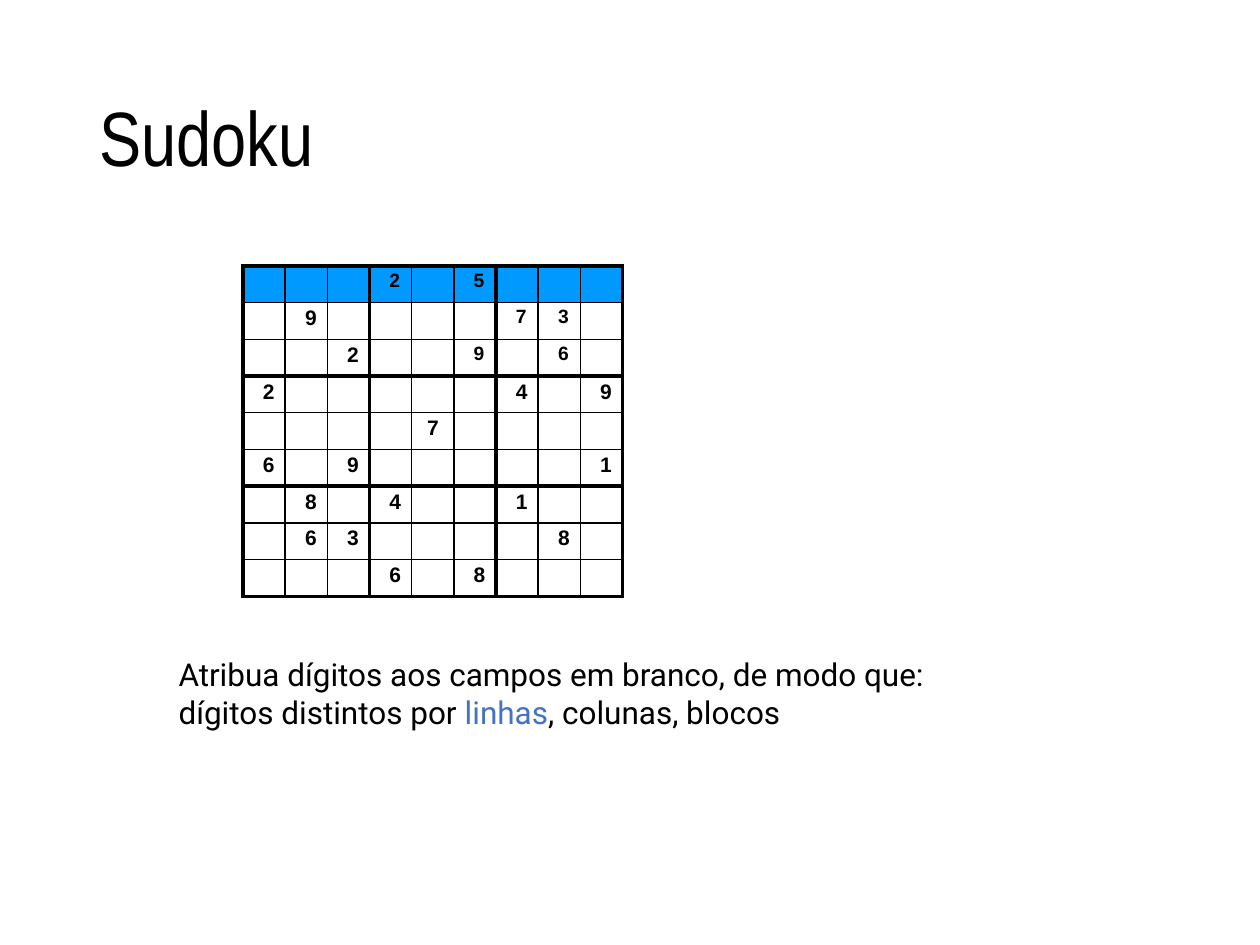
import pptx
import pptx.util
import pptx.dml.color
import pptx.enum.text
import pptx.oxml
import pptx.oxml.ns
from dataclasses import dataclass

Cm = pptx.util.Cm
Pt = pptx.util.Pt


@dataclass(frozen=True)
class Theme:
    ink: str = "000000"
    row: str = "0099FF"
    accent: str = "4472C4"
    title: int = 44
    body: int = 18
    digit: int = 12
    small_digit: int = 11
    thin: float = 1
    thick: float = 2.25


theme = Theme()


def style(r, name, size, color, bold=False):
    r.font.name = name
    r.font.size = Pt(size)
    r.font.bold = bold
    r.font.color.rgb = pptx.dml.color.RGBColor.from_string(color)


def set_borders(cell, row, col):
    sides = {"L": col % 3 == 0, "R": col % 3 == 2, "T": row % 3 == 0, "B": row % 3 == 2}
    tcPr = cell._tc.get_or_add_tcPr()
    for i, (side, heavy) in enumerate(sides.items()):
        width = Pt(theme.thick if heavy else theme.thin)
        tcPr.insert(i, pptx.oxml.parse_xml(
            f'<a:ln{side} {pptx.oxml.ns.nsdecls("a")} w="{width}"><a:solidFill>'
            f'<a:srgbClr val="{theme.ink}"/></a:solidFill><a:prstDash val="solid"/></a:ln{side}>'))


prs = pptx.Presentation()
prs.slide_width, prs.slide_height = Cm(25.4), Cm(19.05)
s = prs.slides.add_slide(prs.slide_layouts[5])

title = s.shapes.title
title.left, title.top, title.width, title.height = Cm(1.75), Cm(1.02), Cm(21.9), Cm(3.68)
tf = title.text_frame
tf.text = "Sudoku"
tf.vertical_anchor = pptx.enum.text.MSO_ANCHOR.MIDDLE
p = tf.paragraphs[0]
p.alignment = pptx.enum.text.PP_ALIGN.LEFT
p.line_spacing = 0.9
style(p.runs[0], "Arial Narrow", theme.title, theme.ink)

puzzle = [
    "...2.5...",
    ".9....73.",
    "..2..9.6.",
    "2.....4.9",
    "....7....",
    "6.9.....1",
    ".8.4..1..",
    ".63....8.",
    "...6.8...",
]
small_digits = {(0, 3), (0, 5), (1, 6), (1, 7), (2, 5), (2, 7)}

table = s.shapes.add_table(9, 9, Cm(4.9), Cm(5.36), Cm(7.65), Cm(6.66)).table
table.first_row = False
table.horz_banding = False
for column in table.columns:
    column.width = Cm(0.85)
for row in table.rows:
    row.height = Cm(0.74)

for i, line in enumerate(puzzle):
    for j, digit in enumerate(line):
        cell = table.cell(i, j)
        cell.margin_left = cell.margin_right = cell.margin_bottom = 0
        cell.margin_top = Cm(0.08)
        if i == 0:
            cell.fill.solid()
            cell.fill.fore_color.rgb = pptx.dml.color.RGBColor.from_string(theme.row)
        else:
            cell.fill.background()
        set_borders(cell, i, j)
        p = cell.text_frame.paragraphs[0]
        if digit == ".":
            p._p.append(pptx.oxml.parse_xml(
                f'<a:endParaRPr {pptx.oxml.ns.nsdecls("a")} sz="{theme.digit * 100}"/>'))
            continue
        p.text = digit
        p.space_before = Pt(3.2)
        if (i, j) == (4, 4):
            p.alignment = pptx.enum.text.PP_ALIGN.CENTER
        else:
            pPr = p._p.get_or_add_pPr()
            pPr.set("marL", str(Cm(0.4)))
            pPr.set("indent", "0")
        size = theme.small_digit if (i, j) in small_digits else theme.digit
        style(p.runs[0], "Arial", size, theme.ink, bold=True)

tf = s.shapes.add_textbox(Cm(3.35), Cm(13.08), Cm(18.67), Cm(1.8)).text_frame
tf.word_wrap = True
tf.auto_size = pptx.enum.text.MSO_AUTO_SIZE.SHAPE_TO_FIT_TEXT
tf.text = "Atribua dígitos aos campos em branco, de modo que:"
style(tf.paragraphs[0].runs[0], "Roboto", theme.body, theme.ink)
p = tf.add_paragraph()
for text, color in [
    ("dígitos distintos por ", theme.ink),
    ("linhas", theme.accent),
    (", colunas, blocos", theme.ink),
]:
    r = p.add_run()
    r.text = text
    style(r, "Roboto", theme.body, color)

prs.save("out.pptx")
